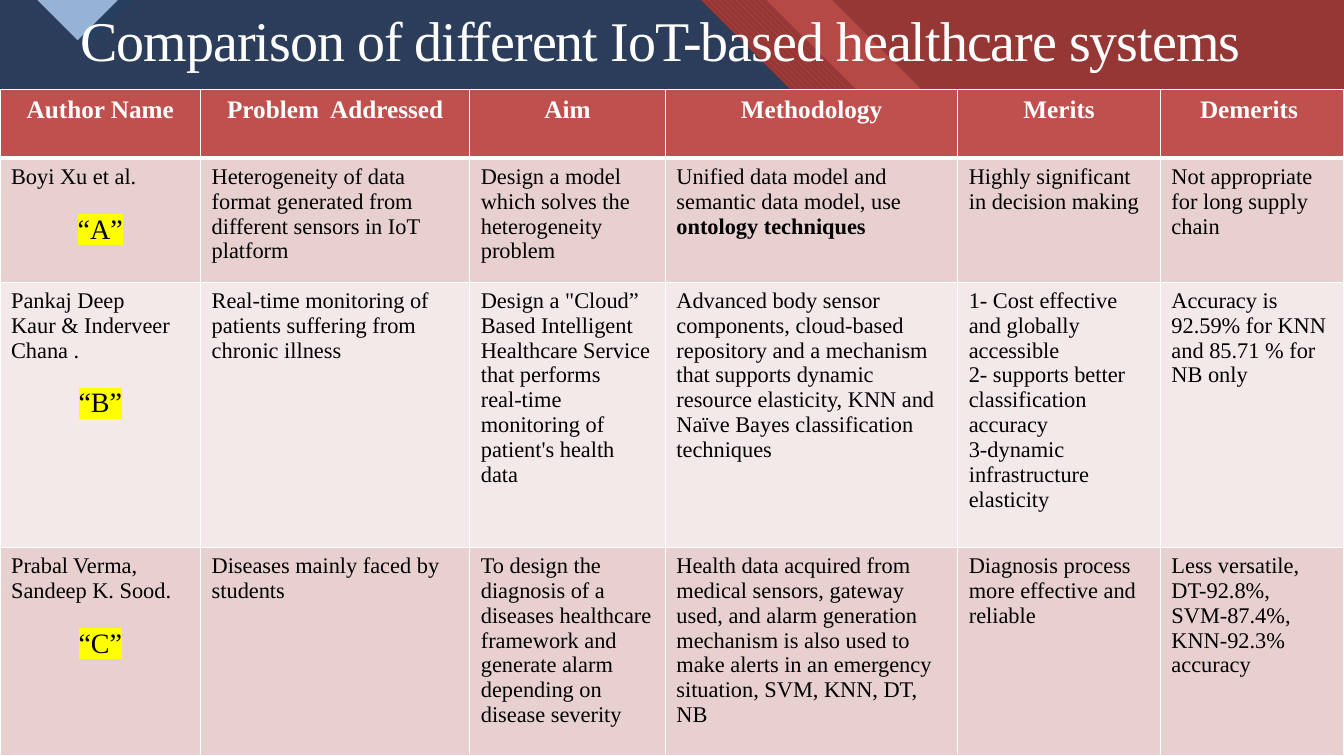
from lxml import etree
from pptx import Presentation
from pptx.dml.color import RGBColor
from pptx.enum.dml import MSO_PATTERN
from pptx.enum.shapes import MSO_SHAPE
from pptx.enum.text import MSO_ANCHOR, PP_ALIGN
from pptx.oxml.ns import qn
from pptx.util import Inches, Pt

LEFT, CENTER = PP_ALIGN.LEFT, PP_ALIGN.CENTER
MIDDLE = MSO_ANCHOR.MIDDLE
RECTANGLE = MSO_SHAPE.RECTANGLE
UP_DIAGONAL = MSO_PATTERN.WIDE_UPWARD_DIAGONAL
DOWN_DIAGONAL = MSO_PATTERN.WIDE_DOWNWARD_DIAGONAL

WIDTH, HEIGHT = 13.33, 7.5
TABLE_TOP = 0.89
COLUMNS = [1.99, 2.67, 1.94, 2.9, 2.01, 1.82]
ROWS = [0.68, 1.23, 2.63, 2.07]

HEADERS = ["Author Name", "Problem  Addressed", "Aim", "Methodology", "Merits", "Demerits "]
STUDIES = [
    ("A", "Boyi Xu et al.",
     "Heterogeneity of data format generated from different sensors in IoT platform",
     "Design a model which solves the heterogeneity problem",
     "Unified data model and semantic data model, use **ontology techniques**",
     "Highly significant in decision making ",
     "Not appropriate for long supply chain"),
    ("B", "Pankaj Deep\nKaur & Inderveer Chana .",
     "Real-time monitoring of patients suffering from chronic illness",
     "Design a \"Cloud” Based Intelligent Healthcare Service that performs \n"
     "real-time monitoring of patient's health data ",
     "Advanced body sensor components, cloud-based repository and a mechanism that supports "
     "dynamic resource elasticity, KNN and Naïve Bayes classification techniques",
     "1- Cost effective and globally accessible \n2- supports better classification accuracy \n"
     "3-dynamic infrastructure elasticity",
     "Accuracy is 92.59% for KNN and 85.71 % for NB only"),
    ("C", "Prabal Verma, Sandeep K. Sood.",
     "Diseases mainly faced by students",
     "To design the diagnosis of a diseases healthcare framework and generate alarm "
     "depending on disease severity",
     "Health data acquired from medical sensors, gateway used, and alarm generation mechanism "
     "is also used to make alerts in an emergency situation, SVM, KNN, DT, NB ",
     "Diagnosis process more effective and reliable",
     "Less versatile, DT-92.8%, SVM-87.4%, KNN-92.3% accuracy"),
]


def rgb(color):
    return RGBColor.from_string(color)


def add_color(parent, tag, color):
    el = etree.SubElement(parent, qn(tag))
    etree.SubElement(el, qn("a:srgbClr")).set("val", color)
    return el


def write(tf, text, font="Times New Roman", size=16, color="000000", bold=False, align=LEFT,
          before=0, line=None, spacing=None, highlight=None):
    for content in text.split("\n"):
        p = tf.paragraphs[-1]
        if p.runs:
            p = tf.add_paragraph()
        p.alignment = align
        p.space_before = Pt(before)
        if line:
            p.line_spacing = line
        for i, part in enumerate(content.split("**")):
            if not part:
                continue
            r = p.add_run()
            r.text = part
            r.font.size = Pt(size)
            r.font.bold = bold or i % 2 == 1
            r.font.color.rgb = rgb(color)
            rPr = r.font._element
            if highlight:
                add_color(rPr, "a:highlight", highlight)
            if spacing:
                rPr.set("spc", str(round(spacing * 100)))
            r.font.name = font


class Deck:
    white, navy, red, dark_red, brown = "FFFFFF", "254061", "C0504D", "953735", "632523"
    light_blue, yellow = "95B3D7", "FFFF00"
    bands = ["E8D0D0", "F4E9E9"]

    def __init__(self):
        self.prs = Presentation()
        self.prs.slide_width, self.prs.slide_height = Inches(WIDTH), Inches(HEIGHT)
        self.s = self.prs.slides.add_slide(self.prs.slide_layouts[6])

    def paint(self, sp, color, alpha=None, pattern=None, back=None):
        sp.shadow.inherit = False
        sp.line.fill.background()
        if pattern:
            sp.fill.patterned()
            sp.fill.pattern = pattern
            sp.fill.back_color.rgb = rgb(back)
        else:
            sp.fill.solid()
        sp.fill.fore_color.rgb = rgb(color)
        if alpha:
            clr = sp._element.spPr.find(qn("a:solidFill"))[0]
            etree.SubElement(clr, qn("a:alpha")).set("val", str(alpha * 1000))

    def backdrop(self, color):
        sp = self.s.shapes.add_shape(RECTANGLE, 0, 0, Inches(WIDTH), Inches(HEIGHT))
        self.paint(sp, color)

    def polygon(self, points, color, **fill):
        points = [(Inches(x), Inches(y)) for x, y in points]
        builder = self.s.shapes.build_freeform(*points[0])
        builder.add_line_segments(points[1:], close=True)
        self.paint(builder.convert_to_shape(), color, **fill)

    def slanted_panel(self, right, color, left=0, step=1.26, drop=2.97, **fill):
        corner, ledge = right + drop, right + drop + step
        self.polygon([(left, 0), (right, 0), (corner, drop), (ledge, drop),
                      (WIDTH, drop + WIDTH - ledge), (WIDTH, HEIGHT), (left, HEIGHT)],
                     color, **fill)

    def title(self, text, left, top, width, height):
        tf = self.s.shapes.add_textbox(
            Inches(left), Inches(top), Inches(width), Inches(height)).text_frame
        tf.word_wrap = True
        tf.vertical_anchor = MIDDLE
        write(tf, text, size=40, color=self.white, line=0.9, spacing=-0.7)

    def cell(self, cell, color, **borders):
        cell.margin_left = cell.margin_right = Inches(0.11)
        cell.margin_top = cell.margin_bottom = Inches(0.06)
        tcPr = cell._tc.get_or_add_tcPr()
        for side, width in borders.items():
            ln = etree.SubElement(tcPr, qn("a:ln" + side))
            ln.set("w", str(Pt(width)))
            add_color(ln, "a:solidFill", self.white)
        cell.fill.solid()
        cell.fill.fore_color.rgb = rgb(color)
        return cell.text_frame

    def table(self, headers, studies):
        table = self.s.shapes.add_table(
            len(ROWS), len(COLUMNS), 0, Inches(TABLE_TOP), Inches(WIDTH), Inches(sum(ROWS))).table
        for column, width in zip(table.columns, COLUMNS):
            column.width = Inches(width)
        for row, height in zip(table.rows, ROWS):
            row.height = Inches(height)
        for c, header in enumerate(headers):
            tf = self.cell(table.cell(0, c), self.red, L=1, R=1, T=1, B=3)
            write(tf, header, size=18, color=self.white, bold=True, align=CENTER)
        for r, (label, *texts) in enumerate(studies, 1):
            for c, text in enumerate(texts):
                tf = self.cell(table.cell(r, c), self.bands[(r - 1) % 2], L=1, R=1, T=1, B=1)
                write(tf, text)
                if c == 0:
                    write(tf, f"“{label}”", size=20, align=CENTER, before=17.8,
                          highlight=self.yellow)


deck = Deck()
deck.backdrop(deck.dark_red)
deck.slanted_panel(8.25, deck.red, step=1.12, alpha=74)
deck.slanted_panel(7.6, deck.red, left=0.66, pattern=DOWN_DIAGONAL, back=deck.dark_red)
deck.slanted_panel(6.95, deck.red, pattern=UP_DIAGONAL, back=deck.brown)
deck.slanted_panel(6.95, deck.navy, alpha=90)
deck.polygon([(0.48, 0), (1.31, 0), (0.9, 0.41)], deck.navy)
deck.polygon([(0.37, 0), (1.17, 0), (0.77, 0.4)], deck.light_blue)
deck.title("Comparison of different IoT-based healthcare systems", 0.7, 0.08, 12.6, 0.71)
deck.table(HEADERS, STUDIES)
deck.prs.save("out.pptx")
